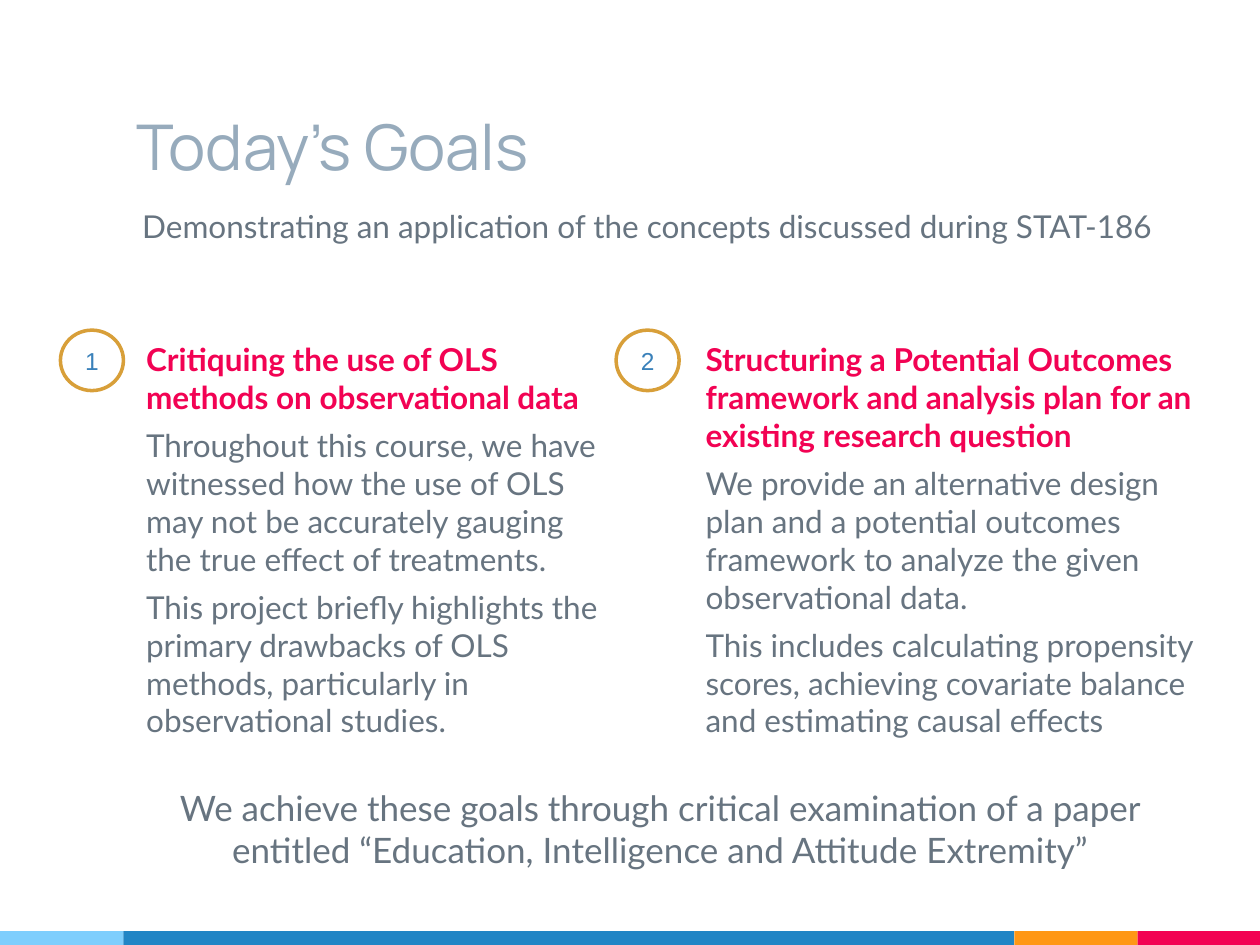
from pptx import Presentation
from pptx.dml.color import RGBColor
from pptx.enum.shapes import MSO_SHAPE
from pptx.enum.text import MSO_ANCHOR, MSO_AUTO_SIZE, PP_ALIGN
from pptx.oxml.ns import qn
from pptx.util import Inches, Pt
from lxml import etree

RECTANGLE, OVAL = MSO_SHAPE.RECTANGLE, MSO_SHAPE.OVAL
TOP, MIDDLE, BOTTOM = MSO_ANCHOR.TOP, MSO_ANCHOR.MIDDLE, MSO_ANCHOR.BOTTOM
LEFT, CENTER = PP_ALIGN.LEFT, PP_ALIGN.CENTER
NO_FIT = MSO_AUTO_SIZE.NONE

WHITE = RGBColor(0xFF, 0xFF, 0xFF)
SKY = RGBColor(0x7E, 0xCE, 0xFD)
BLUE = RGBColor(0x21, 0x85, 0xC5)
ORANGE = RGBColor(0xFF, 0x97, 0x15)
PINK = RGBColor(0xF2, 0x02, 0x53)
GRAY = RGBColor(0x67, 0x74, 0x80)
TITLE_GRAY = RGBColor(0x97, 0xAB, 0xBC)
GOLD = RGBColor(0xD8, 0x9F, 0x39)
NUMBER_BLUE = RGBColor(0x3A, 0x81, 0xBA)


def set_frame(box, left, top, width, height, anchor=TOP):
    box.left, box.top = Inches(left), Inches(top)
    box.width, box.height = Inches(width), Inches(height)
    frame = box.text_frame
    frame.word_wrap = True
    frame.auto_size = NO_FIT
    frame.vertical_anchor = anchor
    frame.margin_left = frame.margin_right = Inches(0.1)
    frame.margin_top = frame.margin_bottom = Inches(0.1)
    return frame


def add_span(para, text, size, color, font="Lato", bold=False, align=LEFT):
    para.alignment = align
    span = para.add_run()
    span.text = text
    span.font.name = font
    span.font.size = Pt(size)
    span.font.bold = bold
    span.font.color.rgb = color


deck = Presentation()
deck.slide_width, deck.slide_height = Inches(10), Inches(7.5)
page = deck.slides.add_slide(deck.slide_layouts.get_by_name("Two Content"))

bar_left = 0
for width, color in [(0.98, SKY), (7.07, BLUE), (0.98, ORANGE), (0.97, PINK)]:
    bar = page.shapes.add_shape(
        RECTANGLE, Inches(bar_left), Inches(7.39), Inches(width), Inches(0.11))
    bar.shadow.inherit = False
    bar.fill.solid()
    bar.fill.fore_color.rgb = color
    bar.line.fill.background()
    bar_left += width

title = set_frame(page.shapes.title, 0.98, 0.3, 7.07, 1.25, BOTTOM)
add_span(title.paragraphs[0], "Today’s Goals", 36, TITLE_GRAY, "Manrope")

statements = [
    (1.03, 1.54, 18, LEFT,
     "Demonstrating an application of the concepts discussed during STAT-186"),
    (0.98, 6.14, 20, CENTER,
     "We achieve these goals through critical examination of a paper "
     "entitled “Education, Intelligence and Attitude Extremity”"),
]
for left, top, size, align, text in statements:
    box = page.shapes.add_textbox(0, 0, 0, 0)
    frame = set_frame(box, left, top, 8.52, 0.9)
    add_span(frame.paragraphs[0], text, size, GRAY, align=align)

goals = [
    (0.48, 1.06, 3.91, [
        "Critiquing the use of OLS methods on observational data",
        "Throughout this course, we have witnessed how the use of OLS may not "
        "be accurately gauging the true effect of treatments.",
        "This project briefly highlights the primary drawbacks of OLS methods, "
        "particularly in observational studies."]),
    (4.89, 5.5, 4.08, [
        "Structuring a Potential Outcomes framework and analysis plan for an "
        "existing research question",
        "We provide an alternative design plan and a potential outcomes "
        "framework to analyze the given observational data.",
        "This includes calculating propensity scores, achieving covariate "
        "balance and estimating causal effects"]),
]
for number, (badge_left, left, width, texts) in enumerate(goals, 1):
    frame = set_frame(page.placeholders[number], left, 2.6, width, 2.98)
    for index, text in enumerate(texts):
        heading = index == 0
        para = frame.paragraphs[0] if heading else frame.add_paragraph()
        properties = para._p.get_or_add_pPr()
        properties.set("marL", "0")
        properties.set("indent", "0")
        etree.SubElement(properties, qn("a:buNone"))
        para.space_before = Pt(0 if heading else 6)
        add_span(para, text, 18, PINK if heading else GRAY, bold=heading)

    badge = page.shapes.add_shape(OVAL, 0, 0, 0, 0)
    badge.shadow.inherit = False
    badge.fill.solid()
    badge.fill.fore_color.rgb = WHITE
    badge.line.color.rgb = GOLD
    badge.line.width = Pt(2)
    frame = set_frame(badge, badge_left, 2.62, 0.5, 0.48, MIDDLE)
    add_span(frame.paragraphs[0], str(number), 14, NUMBER_BLUE, "Arial", align=CENTER)

deck.save("out.pptx")
